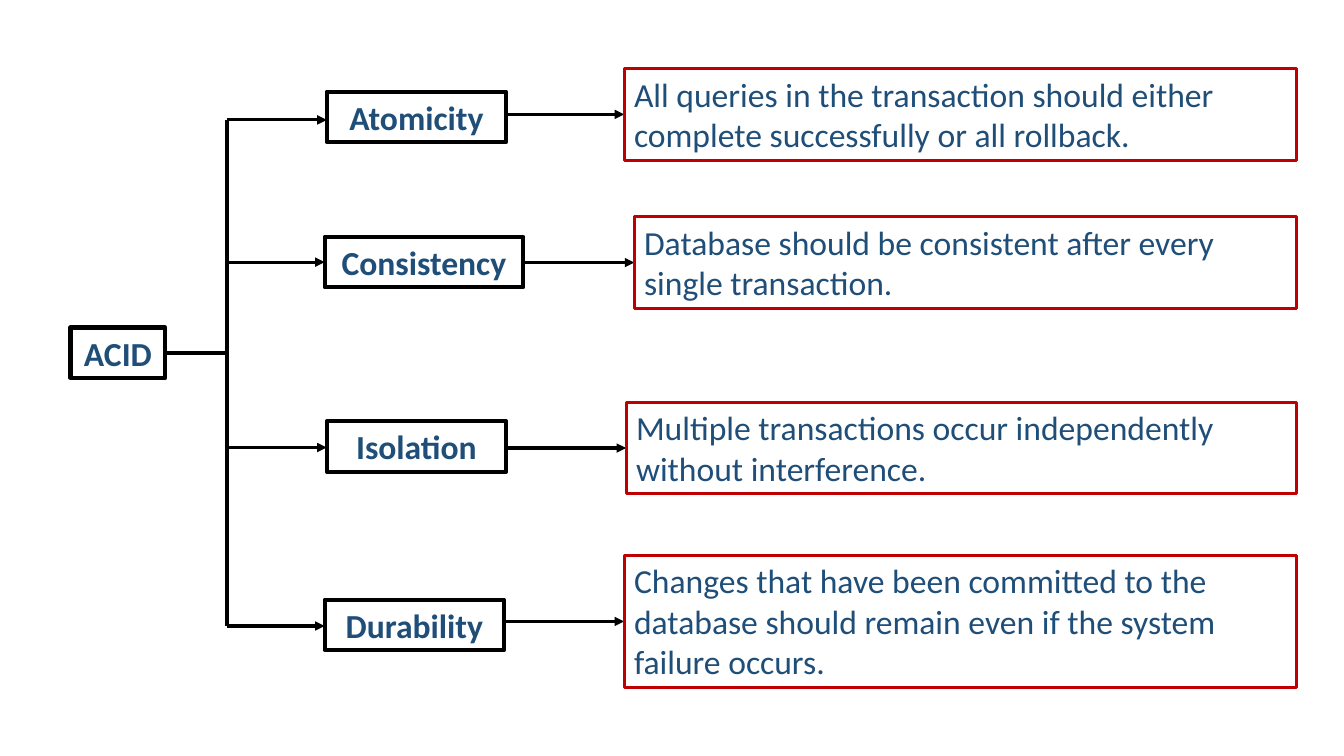
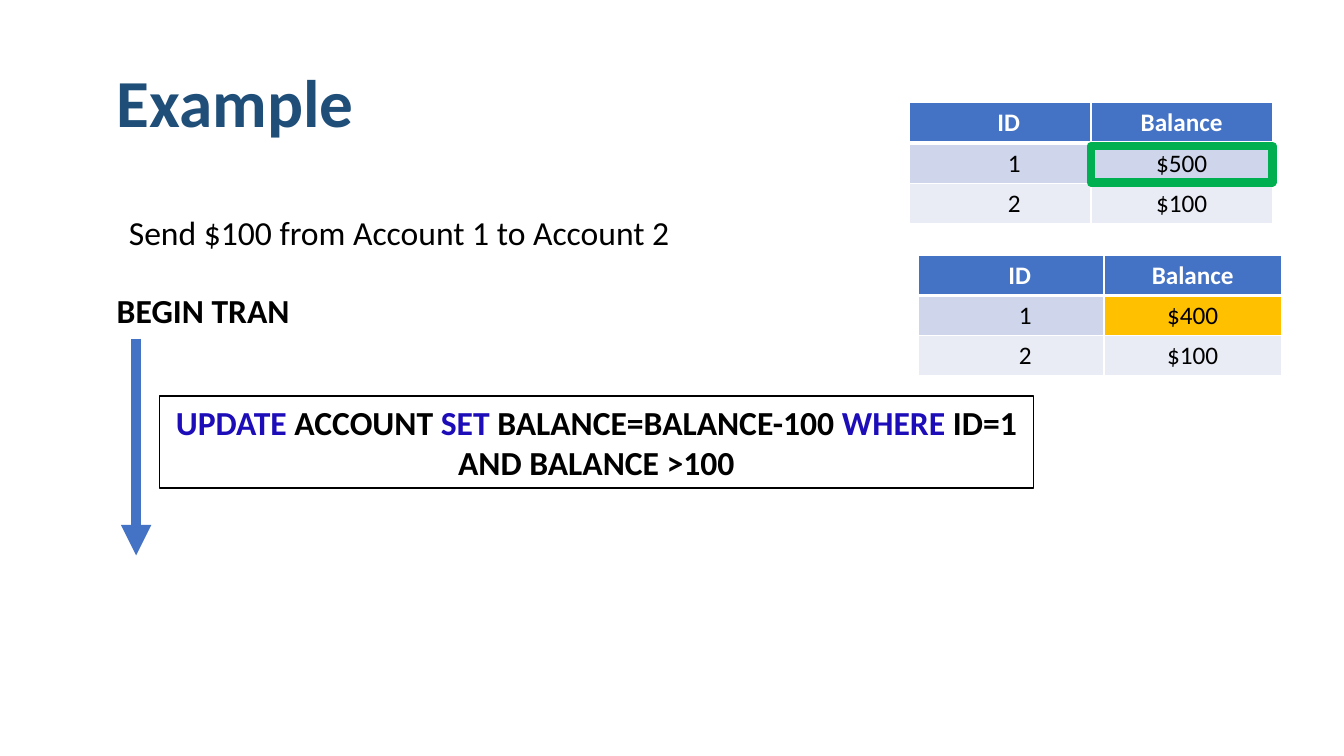
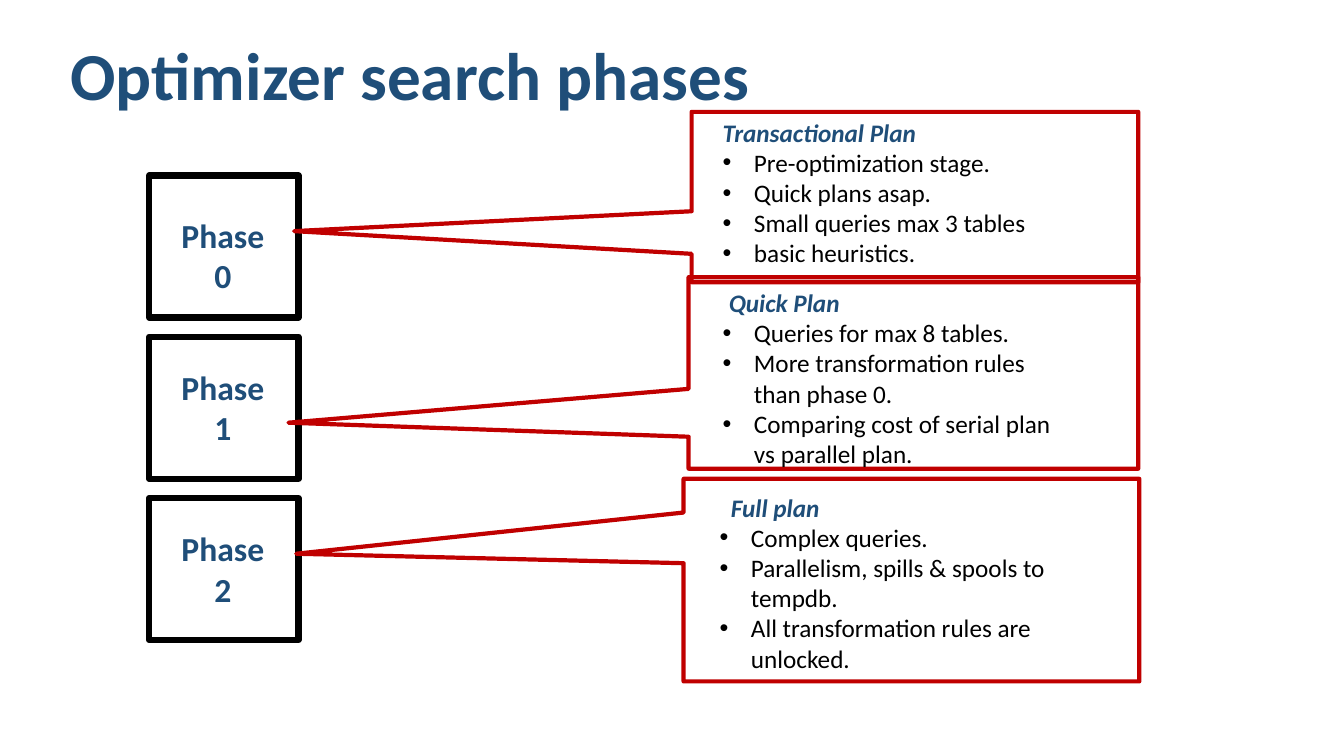
import dataclasses

import lxml.etree
import pptx
import pptx.dml.color
import pptx.enum.shapes
import pptx.enum.text
import pptx.oxml.ns
import pptx.util

Inches = pptx.util.Inches
Pt = pptx.util.Pt
qn = pptx.oxml.ns.qn
SHAPE = pptx.enum.shapes.MSO_SHAPE
ALIGN = pptx.enum.text.PP_ALIGN
ANCHOR = pptx.enum.text.MSO_ANCHOR


@dataclasses.dataclass(frozen=True)
class Theme:
    font: str = "Calibri"
    navy: str = "1F4E79"
    black: str = "000000"
    white: str = "FFFFFF"
    red: str = "C00000"
    blue: str = "4472C4"
    keyword: str = "1D0DB9"
    green: str = "00B050"
    amber: str = "FFC000"
    bands: tuple = ("CFD5EA", "E9EBF5")
    title: float = 48
    body: float = 24
    small: float = 18


THEME = Theme()


def rgb(color):
    return pptx.dml.color.RGBColor.from_string(color)


def format_runs(p, size, color, bold=False, italic=False):
    for r in p.runs:
        r.font.name = THEME.font
        r.font.size = Pt(size)
        r.font.color.rgb = rgb(color)
        r.font.bold = bold
        r.font.italic = italic


def add_text(slide, box, text, size=THEME.body, color=THEME.black, bold=False,
             align=ALIGN.LEFT):
    sp = slide.shapes.add_textbox(*map(Inches, box))
    tf = sp.text_frame
    tf.word_wrap = True
    tf.text = text
    p = tf.paragraphs[0]
    p.alignment = align
    format_runs(p, size, color, bold)
    return tf


def add_title(slide, box, text):
    add_text(slide, box, text, THEME.title, THEME.navy, bold=True)


def add_outline(slide, box, color, width, kind=SHAPE.RECTANGLE):
    sp = slide.shapes.add_shape(kind, *map(Inches, box))
    sp.shadow.inherit = False
    sp.fill.background()
    sp.line.color.rgb = rgb(color)
    sp.line.width = Pt(width)
    return sp


def add_boxed_text(slide, box, text, color, width, bold=False, align=ALIGN.LEFT):
    tf = add_outline(slide, box, color, width).text_frame
    tf.word_wrap = True
    tf.vertical_anchor = ANCHOR.TOP
    tf.text = text
    p = tf.paragraphs[0]
    p.alignment = align
    format_runs(p, THEME.body, THEME.navy, bold)


def add_label(slide, box, text):
    add_boxed_text(slide, box, text, THEME.black, 3, True, ALIGN.CENTER)


def add_line(slide, start, end, width, color=THEME.black, arrow=False):
    line = slide.shapes.add_connector(pptx.enum.shapes.MSO_CONNECTOR.STRAIGHT,
                                      *map(Inches, start + end))
    line.line.color.rgb = rgb(color)
    line.line.width = Pt(width)
    sp_pr = line._element.spPr
    if arrow:
        lxml.etree.SubElement(sp_pr.find(qn("a:ln")), qn("a:tailEnd"), type="triangle")
    lxml.etree.SubElement(sp_pr, qn("a:effectLst"))


def set_borders(cell, top, bottom):
    """Draw white cell borders; call before filling, as the schema orders them."""
    tc_pr = cell._tc.get_or_add_tcPr()
    for side, width in (("L", 1), ("R", 1), ("T", top), ("B", bottom)):
        ln = lxml.etree.SubElement(tc_pr, qn("a:ln" + side), w=str(Pt(width)))
        fill = lxml.etree.SubElement(ln, qn("a:solidFill"))
        lxml.etree.SubElement(fill, qn("a:srgbClr"), val=THEME.white)


def add_balance_table(slide, left, top, col_widths, balances, changed=None):
    """Accounts numbered from 1; the balance of account `changed` is marked."""
    rows = [("ID", "Balance")] + [(str(n), b) for n, b in enumerate(balances, 1)]
    row_height = 0.4
    table = slide.shapes.add_table(
        len(rows), 2, Inches(left), Inches(top), Inches(sum(col_widths)),
        Inches(row_height * len(rows))).table
    for col, width in zip(table.columns, col_widths):
        col.width = Inches(width)
    for i, row in enumerate(rows):
        header = i == 0
        for j, text in enumerate(row):
            cell = table.cell(i, j)
            set_borders(cell, 3 if i == 1 else 1, 3 if header else 1)
            fill = THEME.blue if header else THEME.bands[(i - 1) % 2]
            if j == 1 and i == changed:
                fill = THEME.amber
            cell.fill.solid()
            cell.fill.fore_color.rgb = rgb(fill)
            if j == 0:
                cell.margin_left = Inches(0.27 if header else 0.38)
            cell.text = text
            p = cell.text_frame.paragraphs[0]
            p.alignment = ALIGN.CENTER
            format_runs(p, THEME.small, THEME.white if header else THEME.black, header)


def set_indent(p, left, first=0, bullet=None):
    p_pr = p._p.get_or_add_pPr()
    p_pr.set("marL", str(Inches(left)))
    p_pr.set("indent", str(Inches(first)))
    if bullet:
        lxml.etree.SubElement(p_pr, qn("a:buFont"), typeface="Arial")
        lxml.etree.SubElement(p_pr, qn("a:buChar"), char=bullet)


def add_plan(slide, callout, pointer, box, indent, heading, points):
    sp = add_outline(slide, callout, THEME.red, 3, SHAPE.RECTANGULAR_CALLOUT)
    for i, value in enumerate(pointer):
        sp.adjustments[i] = value
    tf = add_text(slide, box, heading)
    p = tf.paragraphs[0]
    set_indent(p, indent)
    format_runs(p, THEME.small, THEME.navy, bold=True, italic=True)
    for point in points:
        p = tf.add_paragraph()
        p.text = point
        set_indent(p, 0.31, -0.31, "•")
        format_runs(p, THEME.small, THEME.black)


def build_acid(slide):
    trunk_x, root_y, details_right, label_height = 2.25, 3.5, 12.86, 0.5
    # name, label left/top/width, branch y, detail left/top/height, detail
    properties = [
        ("Atomicity", 3.24, 0.91, 1.78, 1.19, 6.19, 0.68, 0.91,
         "All queries in the transaction should either complete successfully "
         "or all rollback."),
        ("Consistency", 3.22, 2.35, 1.97, 2.6, 6.29, 2.15, 0.91,
         "Database should be consistent after every single transaction."),
        ("Isolation", 3.24, 4.18, 1.78, 4.44, 6.21, 3.99, 0.91,
         "Multiple transactions occur independently without interference."),
        ("Durability", 3.22, 5.95, 1.78, 6.21, 6.19, 5.51, 1.31,
         "Changes that have been committed to the database should remain even "
         "if the system failure occurs."),
    ]
    add_label(slide, (0.7, 3.25, 0.94, label_height), "ACID")
    add_line(slide, (1.64, root_y), (trunk_x, root_y), 3)
    add_line(slide, (trunk_x, properties[0][4]), (trunk_x, properties[-1][4]), 3)
    for name, x, y, width, branch_y, detail_x, detail_y, height, detail in properties:
        add_line(slide, (trunk_x, branch_y), (x, branch_y), 2.25, arrow=True)
        add_label(slide, (x, y, width, label_height), name)
        link_y = detail_y + height / 2
        add_line(slide, (x + width, link_y), (detail_x, link_y), 2.25, arrow=True)
        add_boxed_text(slide, (detail_x, detail_y, details_right - detail_x, height),
                       detail, THEME.red, 2.25)


def add_statement(slide, box, parts):
    """Centred SQL in a box; parts are (text, colour) pairs."""
    sp = add_outline(slide, box, THEME.black, 1)
    sp.fill.solid()
    sp.fill.fore_color.rgb = rgb(THEME.white)
    tf = sp.text_frame
    tf.word_wrap = True
    tf.vertical_anchor = ANCHOR.MIDDLE
    p = tf.paragraphs[0]
    p.alignment = ALIGN.CENTER
    for text, _ in parts:
        p.add_run().text = text
    format_runs(p, THEME.body, THEME.black, bold=True)
    for r, (_, color) in zip(p.runs, parts):
        r.font.color.rgb = rgb(color)


def build_example(slide):
    add_title(slide, (1.06, 0.55, 7.5, 0.91), "Example")
    add_text(slide, (1.18, 2.05, 6.34, 0.5), "Send $100 from Account 1 to Account 2")
    add_text(slide, (1.06, 2.83, 2.66, 0.5), "BEGIN TRAN", bold=True)
    add_line(slide, (1.35, 3.36), (1.35, 5.51), 7.25, THEME.blue, arrow=True)
    add_statement(slide, (1.58, 3.93, 8.67, 0.91), [
        ("UPDATE ", THEME.keyword), ("ACCOUNT ", THEME.black),
        ("SET ", THEME.keyword), ("BALANCE=BALANCE-100 ", THEME.black),
        ("WHERE", THEME.keyword), (" ID=1 AND BALANCE >100", THEME.black)])
    add_balance_table(slide, 9.02, 1.02, (1.8, 1.8), ("$500", "$100"))
    add_outline(slide, (10.82, 1.45, 1.8, 0.36), THEME.green, 6.25)
    add_balance_table(slide, 9.11, 2.53, (1.84, 1.76), ("$400", "$100"), changed=1)


def build_phases(slide):
    add_title(slide, (0.6, 0.28, 10.21, 0.91), "Optimizer search phases")
    for i, text_y in enumerate((2.08, 3.59, 5.19)):
        add_outline(slide, (1.48, 1.74 + 1.6 * i, 1.48, 1.41), THEME.black, 4.5)
        add_text(slide, (1.62, text_y, 1.18, 0.91), f"Phase {i}", color=THEME.navy,
                 bold=True, align=ALIGN.CENTER)
    add_plan(slide, (6.86, 1.11, 4.43, 1.69), (-1.39, 0.2), (7.07, 1.11, 4.04, 1.92),
             0, "Transactional Plan",
             ["Pre-optimization stage.", "Quick plans asap.",
              "Small queries max 3 tables", "basic heuristics."])
    add_plan(slide, (6.83, 2.75, 4.46, 1.9), (-1.39, 0.26), (7.07, 2.8, 3.63, 2.22),
             0.06, "Quick Plan",
             ["Queries for max 8 tables.", "More transformation rules than phase 0.",
              "Comparing cost of serial plan vs parallel plan."])
    add_plan(slide, (6.78, 4.75, 4.52, 2.01), (-1.35, -0.13), (7.04, 4.83, 3.63, 1.92),
             0.11, "Full plan",
             ["Complex queries.", "Parallelism, spills & spools to tempdb.",
              "All transformation rules are unlocked."])


def main():
    prs = pptx.Presentation()
    prs.slide_width = Inches(13.33)
    prs.slide_height = Inches(7.5)
    blank = prs.slide_layouts[6]
    for build in (build_acid, build_example, build_phases):
        build(prs.slides.add_slide(blank))
    prs.save("out.pptx")


if __name__ == "__main__":
    main()
